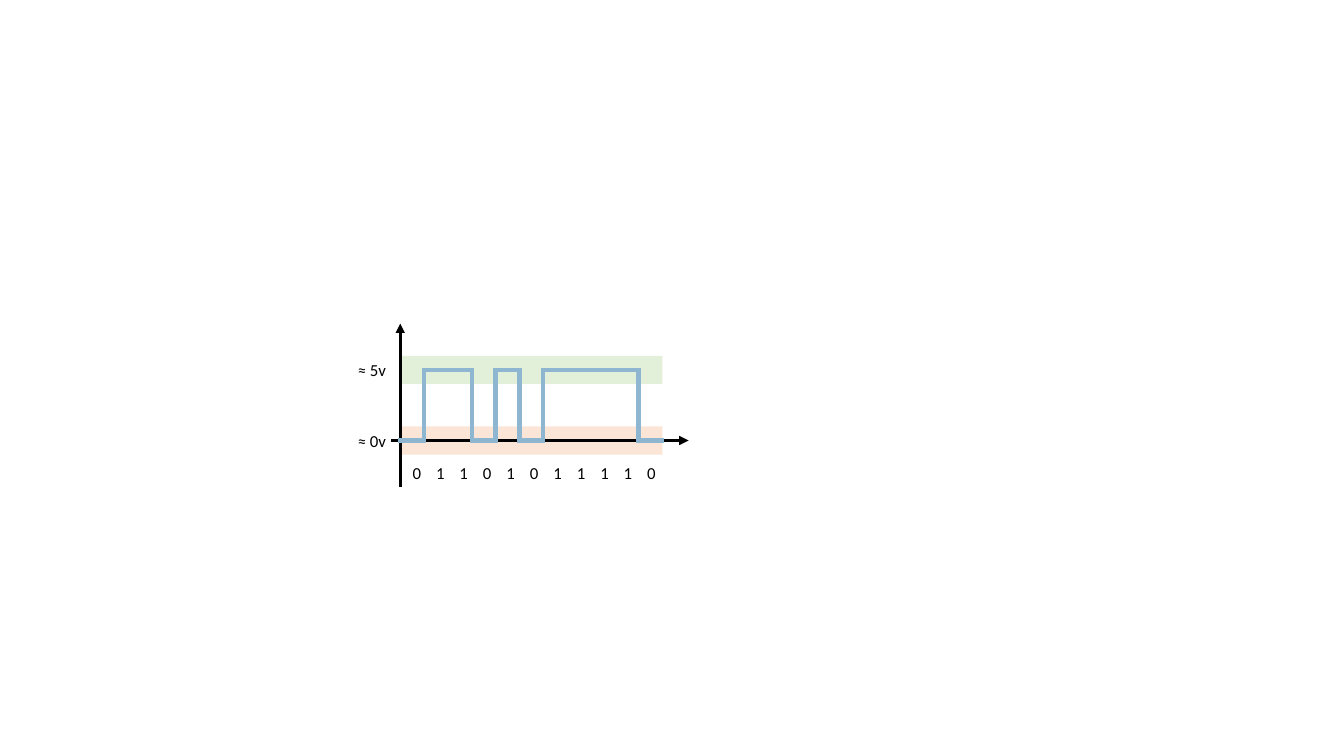
from itertools import pairwise

from lxml import etree
from pptx import Presentation
from pptx.dml.color import RGBColor
from pptx.enum.shapes import MSO_CONNECTOR, MSO_SHAPE
from pptx.enum.text import MSO_ANCHOR, PP_ALIGN
from pptx.oxml.ns import qn
from pptx.util import Inches, Pt

BLACK = RGBColor(0x00, 0x00, 0x00)
SIGNAL_BLUE = RGBColor(0x8F, 0xB6, 0xD1)
HIGH_GREEN = RGBColor(0xE2, 0xF0, 0xD9)
LOW_ORANGE = RGBColor(0xFB, 0xE5, 0xD6)

BITS = "01101011110"
BAND_HEIGHT = 0.28
LABEL_WIDTH = 0.56


def add_line(shapes, start, end, color, weight):
    line = shapes.add_connector(
        MSO_CONNECTOR.STRAIGHT, *(Inches(value) for value in (*start, *end)))
    line.line.color.rgb = color
    line.line.width = Pt(weight)
    properties = line._element.spPr
    etree.SubElement(properties, qn("a:effectLst"))
    return line


def add_axis(shapes, start, end):
    axis = add_line(shapes, start, end, BLACK, 2.25)
    etree.SubElement(axis.line._get_or_add_ln(), qn("a:tailEnd"), type="triangle")


def add_band(shapes, left, middle, width, color):
    """Shade the tolerance range around a voltage level."""
    band = shapes.add_shape(
        MSO_SHAPE.RECTANGLE, Inches(left), Inches(middle - BAND_HEIGHT / 2),
        Inches(width), Inches(BAND_HEIGHT))
    band.shadow.inherit = False
    band.fill.solid()
    band.fill.fore_color.rgb = color
    band.line.fill.background()


def add_label(shapes, left, middle, width, text, spacing=0):
    """Add centred text; spacing is the extra gap after each letter in points."""
    box = shapes.add_textbox(
        Inches(left), Inches(middle - BAND_HEIGHT / 2),
        Inches(width), Inches(BAND_HEIGHT))
    frame = box.text_frame
    frame.word_wrap = True
    frame.vertical_anchor = MSO_ANCHOR.MIDDLE
    frame.margin_left = frame.margin_right = 0
    frame.margin_top = frame.margin_bottom = 0
    para = frame.paragraphs[0]
    para.text = text
    para.alignment = PP_ALIGN.CENTER
    span = para.runs[0]
    span.font.name = "Calibri"
    span.font.size = Pt(12)
    span.font.color.rgb = BLACK
    if spacing:
        span.font._element.set("spc", str(spacing * 100))


def add_signal(shapes, left, width, levels):
    """Draw the square wave, one step per bit, with edges where bits differ."""
    step = width / len(BITS)
    points = []
    for index, bit in enumerate(BITS):
        points += [(left + index * step, levels[bit]),
                   (left + (index + 1) * step, levels[bit])]
    group = shapes.add_group_shape()
    for start, end in pairwise(points):
        if start != end:
            segment = add_line(group.shapes, start, end, SIGNAL_BLUE, 3)
            segment.line._get_or_add_ln().set("cap", "sq")


def add_timing_diagram(shapes, left, top, width, height):
    """Plot the bits in a box whose left edge is the voltage axis."""
    high, low = top + 0.46, top + 1.16
    add_band(shapes, left, low, width, LOW_ORANGE)
    add_band(shapes, left, high, width, HIGH_GREEN)
    add_axis(shapes, (left, top + height), (left, top))
    add_axis(shapes, (left - 0.09, low), (left + width + 0.26, low))
    add_signal(shapes, left, width, {"0": low, "1": high})
    for text, middle in (("≈ 5v", high), ("≈ 0v", low)):
        add_label(shapes, left - LABEL_WIDTH, middle, LABEL_WIDTH, text)
    add_label(shapes, left + 0.03, low + 0.32, width, " ".join(BITS), spacing=4)


def main():
    deck = Presentation()
    deck.slide_width = Inches(13.33)
    deck.slide_height = Inches(7.5)
    page = deck.slides.add_slide(deck.slide_layouts[6])
    add_timing_diagram(page.shapes, 3.97, 3.21, 2.6, 1.62)
    deck.save("out.pptx")


if __name__ == "__main__":
    main()
